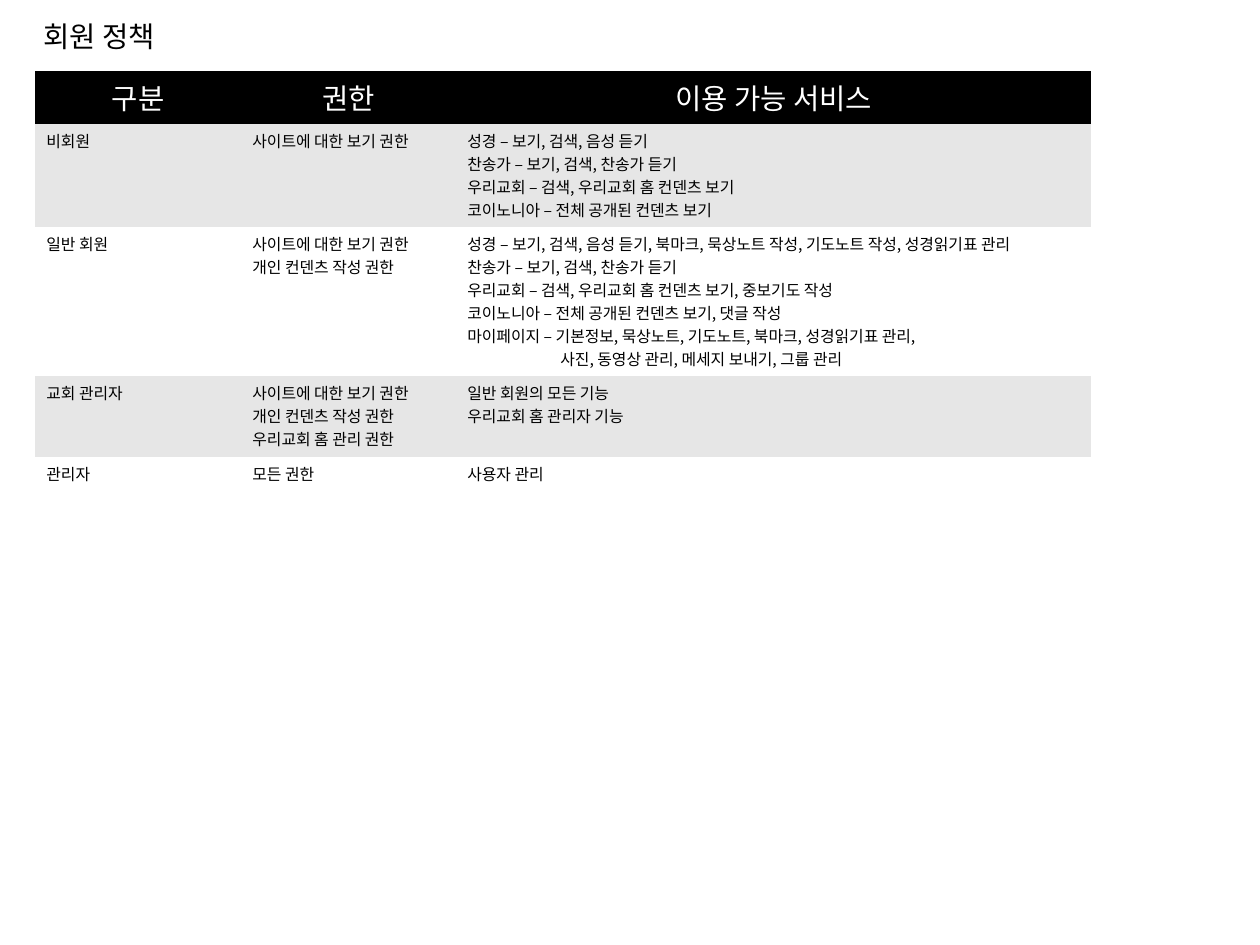
from lxml import etree
from pptx import Presentation
from pptx import util as u
from pptx.dml.color import RGBColor
from pptx.enum import text
from pptx.oxml import ns

PX = 8000
FONT = "Noto Sans CJK KR"
NO_GRID_STYLE = "{2D5ABB26-0587-4C30-8999-92F81FD0307C}"
COLUMN_WIDTHS = [206, 215, 635]
ROW_HEIGHTS = [53, 103, 149, 81, 56]
CONTINUATION_INDENT = 93
CONTINUATION = "사진, 동영상 관리, 메세지 보내기, 그룹 관리"

POLICY = [
    [["구분"], ["권한"], ["이용 가능 서비스"]],
    [
        ["비회원"],
        ["사이트에 대한 보기 권한"],
        [
            "성경 – 보기, 검색, 음성 듣기",
            "찬송가 – 보기, 검색, 찬송가 듣기",
            "우리교회 – 검색, 우리교회 홈 컨덴츠 보기",
            "코이노니아 – 전체 공개된 컨덴츠 보기",
        ],
    ],
    [
        ["일반 회원"],
        ["사이트에 대한 보기 권한", "개인 컨덴츠 작성 권한"],
        [
            "성경 – 보기, 검색, 음성 듣기, 북마크, 묵상노트 작성, 기도노트 작성, 성경읽기표 관리",
            "찬송가 – 보기, 검색, 찬송가 듣기",
            "우리교회 – 검색, 우리교회 홈 컨덴츠 보기, 중보기도 작성",
            "코이노니아 – 전체 공개된 컨덴츠 보기, 댓글 작성",
            "마이페이지 – 기본정보, 묵상노트, 기도노트, 북마크, 성경읽기표 관리,",
            CONTINUATION,
        ],
    ],
    [
        ["교회 관리자"],
        ["사이트에 대한 보기 권한", "개인 컨덴츠 작성 권한", "우리교회 홈 관리 권한"],
        ["일반 회원의 모든 기능", "우리교회 홈 관리자 기능"],
    ],
    [["관리자"], ["모든 권한"], ["사용자 관리"]],
]


def px(length):
    return u.Emu(length * PX)


def color(value):
    return RGBColor.from_string(value)


def write_lines(frame, lines, size, ink, align):
    for index, line in enumerate(lines):
        para = frame.paragraphs[0] if index == 0 else frame.add_paragraph()
        para.text = line
        para.alignment = align
        if line == CONTINUATION:
            para._p.get_or_add_pPr().set("marL", str(px(CONTINUATION_INDENT)))
        font = para.font
        font.size = u.Pt(size)
        font.bold = False
        font.color.rgb = color(ink)
        font.name = FONT
        defaults = para._p.pPr.find(ns.qn("a:defRPr"))
        etree.SubElement(defaults, ns.qn("a:ea"), typeface=FONT)


def place_title(page, left, top, width, height):
    title = page.shapes.title
    title.left, title.top, title.width, title.height = map(px, (left, top, width, height))
    frame = title.text_frame
    frame.word_wrap = False
    frame.auto_size = text.MSO_AUTO_SIZE.SHAPE_TO_FIT_TEXT
    frame.vertical_anchor = text.MSO_ANCHOR.TOP
    write_lines(frame, ["회원 정책"], 18, "000000", text.PP_ALIGN.LEFT)


def place_policy_table(page, left, top):
    table = page.shapes.add_table(
        len(ROW_HEIGHTS), len(COLUMN_WIDTHS), px(left), px(top),
        px(sum(COLUMN_WIDTHS)), px(sum(ROW_HEIGHTS)),
    ).table
    table._tbl.tblPr.find(ns.qn("a:tableStyleId")).text = NO_GRID_STYLE
    for column, width in zip(table.columns, COLUMN_WIDTHS):
        column.width = px(width)
    for index, (row, height, entries) in enumerate(zip(table.rows, ROW_HEIGHTS, POLICY)):
        row.height = px(height)
        if index == 0:
            fill, size, ink, align = "000000", 18, "FFFFFF", text.PP_ALIGN.CENTER
        else:
            fill = "E6E6E6" if index % 2 else "FFFFFF"
            size, ink, align = 10, "000000", text.PP_ALIGN.LEFT
        for cell, lines in zip(row.cells, entries):
            cell.fill.solid()
            cell.fill.fore_color.rgb = color(fill)
            write_lines(cell.text_frame, lines, size, ink, align)


def main():
    deck = Presentation()
    deck.slide_width, deck.slide_height = px(1260), px(945)
    page = deck.slides.add_slide(deck.slide_layouts[5])
    place_title(page, 32, 13, 145, 53)
    place_policy_table(page, 35, 71)
    deck.save("out.pptx")


if __name__ == "__main__":
    main()
